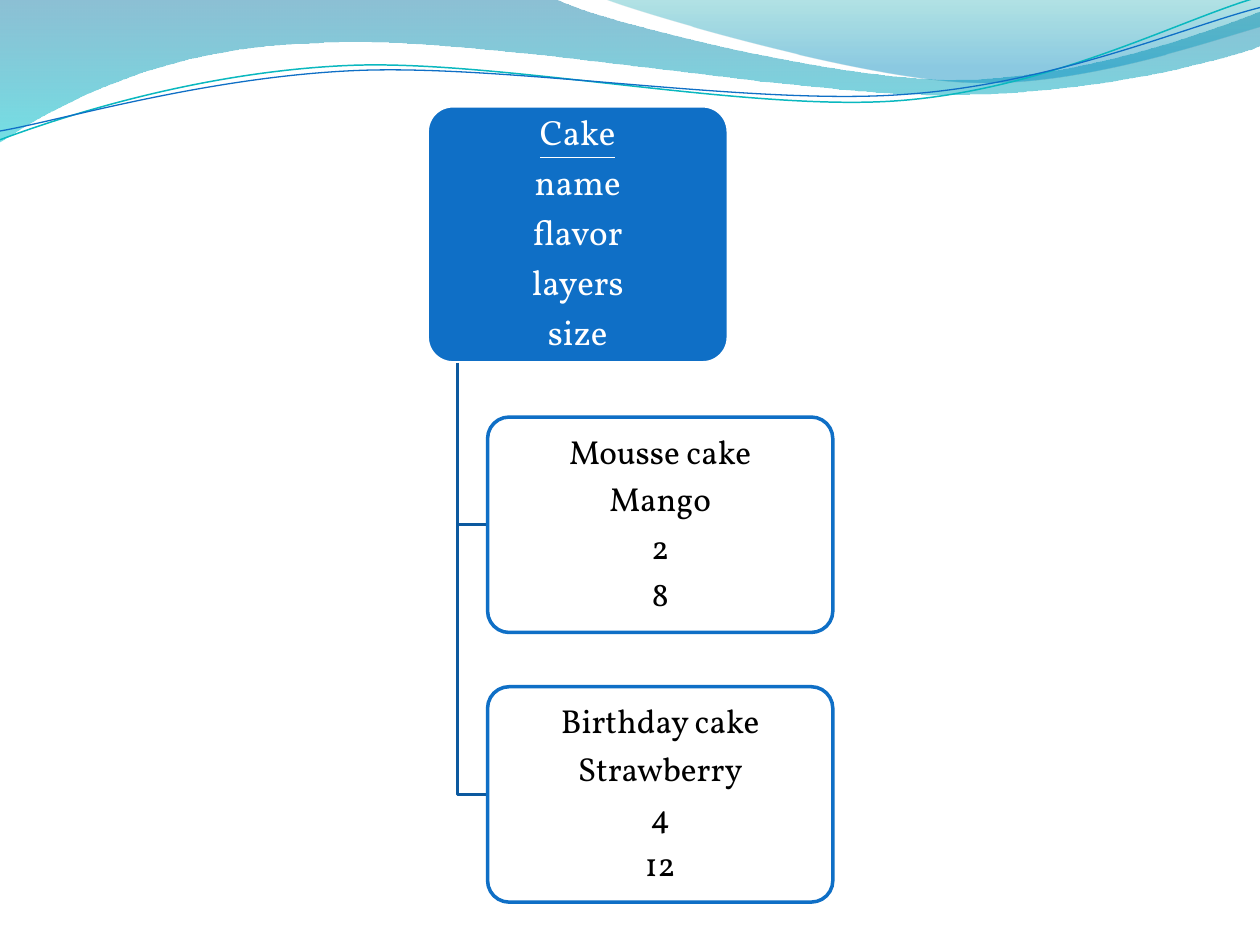
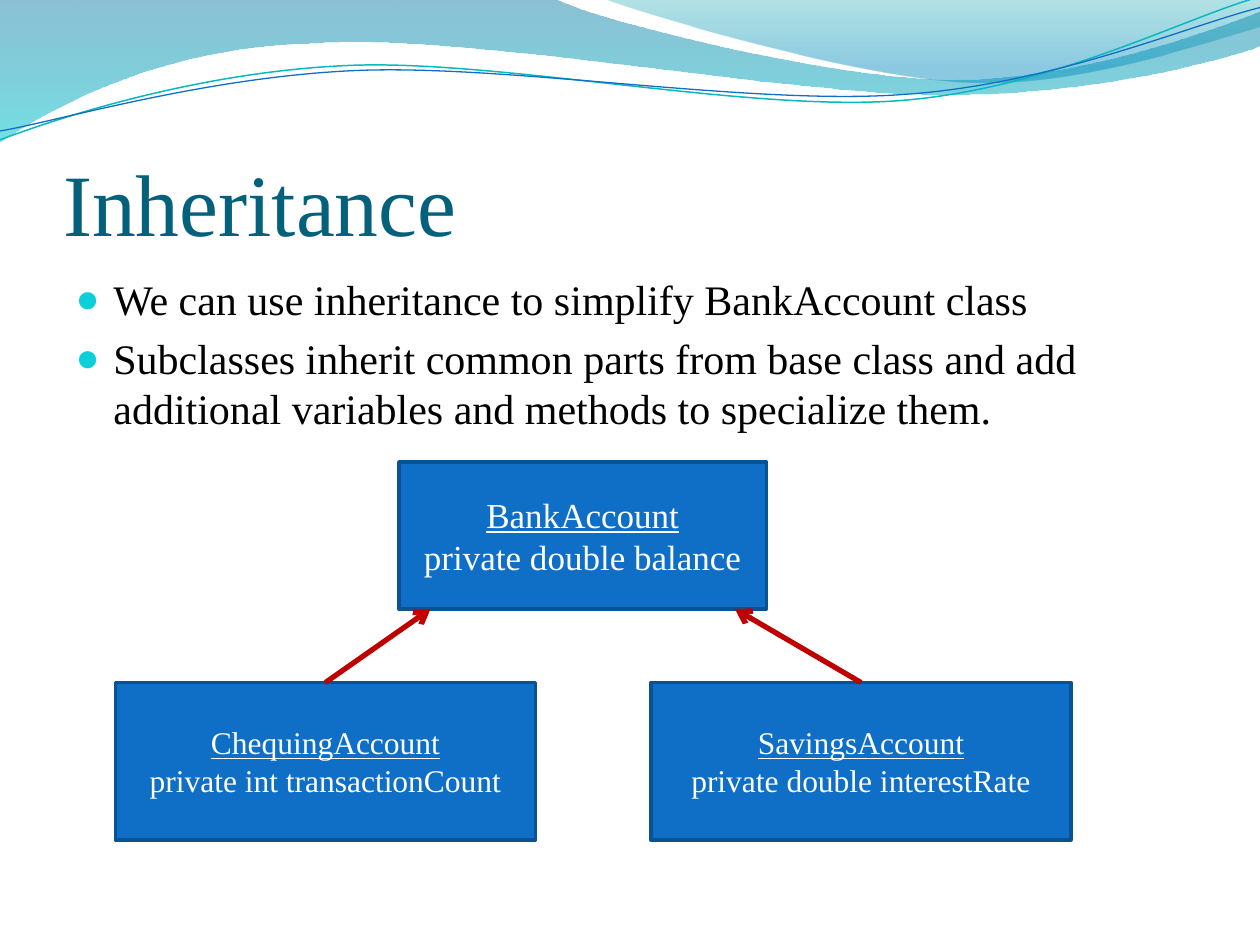
"""Build two slides on inheritance: a cake class tree and a bank account diagram."""
from lxml.etree import SubElement
from pptx import Presentation
from pptx.dml.color import RGBColor
from pptx.enum.shapes import MSO_CONNECTOR, MSO_SHAPE
from pptx.enum.text import MSO_ANCHOR, MSO_AUTO_SIZE, PP_ALIGN
from pptx.oxml.ns import qn
from pptx.util import Inches, Pt

BLUE = RGBColor(0x0F, 0x6F, 0xC6)
BRANCH_BLUE = RGBColor(0x0C, 0x59, 0x9F)
EDGE_BLUE = RGBColor(0x0B, 0x52, 0x92)
TITLE_TEAL = RGBColor(0x04, 0x61, 0x7B)
BULLET_CYAN = RGBColor(0x0B, 0xD0, 0xD9)
CURVE_TEAL = RGBColor(0x0A, 0xB8, 0xBF)
WAVE_BLUE = RGBColor(0x00, 0x74, 0xA1)
WAVE_CYAN = RGBColor(0x00, 0xC6, 0xCF)
CREST_TEAL = RGBColor(0x00, 0xA1, 0xA9)
CREST_BLUE = RGBColor(0x00, 0x8B, 0xBF)
RED = RGBColor(0xC0, 0x00, 0x00)
WHITE = RGBColor(0xFF, 0xFF, 0xFF)
BLACK = RGBColor(0x00, 0x00, 0x00)
SERIF = "Times New Roman"
CAKE_FONT = "Vollkorn"

WAVES = [
    ([[(0, 0)], [(4.4, -0.01)],
      [(4.76, 0.17), (6.64, 0.63), (7.58, 0.63)],
      [(8.53, 0.63), (9.58, 0.26), (10, 0.09)],
      [(10.01, 0.36)],
      [(9.83, 0.44), (8.7, 0.76), (7.46, 0.75)],
      [(6.22, 0.75), (3.82, 0.28), (2.57, 0.34)],
      [(1.29, 0.36), (0.46, 0.83), (-0.01, 1.13)],
      [(0, 0)]],
     [(0, WAVE_BLUE, 45), (1, WAVE_CYAN, 55)]),
    ([[(4.79, -0.01)],
      [(5.09, 0.11), (6.82, 0.62), (7.69, 0.65)],
      [(8.56, 0.69), (9.61, 0.32), (10, 0.21)],
      [(10, 0)],
      [(4.79, -0.01)]],
     [(0, CREST_TEAL, 30), (0.8, CREST_BLUE, 45)]),
]
CURVES = [
    ([[(0, 1.11)],
      [(0.48, 0.93), (1.58, 0.57), (2.77, 0.52)],
      [(3.95, 0.47), (5.93, 0.89), (7.13, 0.8)],
      [(8.33, 0.71), (9.38, 0.15), (9.98, -0.02)]], CURVE_TEAL, 0.85),
    ([[(0, 1.04)],
      [(0.47, 0.96), (1.64, 0.61), (2.83, 0.56)],
      [(4.03, 0.51), (5.97, 0.84), (7.17, 0.75)],
      [(8.36, 0.67), (9.41, 0.21), (10, 0.06)]], BLUE, 0.75),
]

CAKE_CLASS = ["Cake", "name", "flavor", "layers", "size"]
CAKES = [["Mousse cake", "Mango", "2", "8"],
         ["Birthday cake", "Strawberry", "4", "12"]]
CAKE_CLASS_AREA = (3.39, 0.84, 2.39, 2.04)
CAKE_LEFT, CAKE_TOP, CAKE_WIDTH, CAKE_HEIGHT, CAKE_STEP = 3.87, 3.31, 2.74, 1.71, 2.14
TRUNK_X = 3.63

TITLE = "Inheritance"
POINTS = ["We can use inheritance to simplify BankAccount class",
          "Subclasses inherit common parts from base class and add "
          "additional variables and methods to specialize them."]
GRID = 1 / 12
BASE_ACCOUNT = (["BankAccount", "private double balance"], (38, 44, 35, 14))
SUB_ACCOUNTS = [
    (["ChequingAccount", "private int transactionCount"], (11, 65, 40, 15), 41),
    (["SavingsAccount", "private double interestRate"], (62, 65, 40, 15), 70),
]


def on_grid(*cells):
    return [cell * GRID for cell in cells]


def add_outline(page, steps, close):
    start, *rest = [(Inches(step[-1][0]), Inches(step[-1][1])) for step in steps]
    builder = page.shapes.build_freeform(*start)
    builder.add_line_segments(rest, close=close)
    outline = builder.convert_to_shape()
    outline.shadow.inherit = False
    segments = outline.element.xpath(".//a:lnTo")
    for segment, step in zip(segments, steps[1:]):
        if len(step) == 3:
            bend(segment, step, outline.left, outline.top)
    return outline


def bend(segment, step, left, top):
    curve = SubElement(segment.getparent(), qn("a:cubicBezTo"))
    for x, y in step:
        SubElement(curve, qn("a:pt"), x=str(Inches(x) - left), y=str(Inches(y) - top))
    segment.getparent().replace(segment, curve)


def add_stroke(page, steps, colour, width):
    stroke = add_outline(page, steps, False)
    stroke.fill.background()
    stroke.line.color.rgb = colour
    stroke.line.width = Pt(width)
    return stroke


def add_wave(page, steps, stops):
    wave = add_outline(page, steps, True)
    wave.line.fill.background()
    wave.fill.gradient()
    wave.fill.gradient_angle = 270
    for stop, (position, colour, _) in zip(wave.fill.gradient_stops, stops):
        stop.position = position
        stop.color.rgb = colour
    tints = wave.element.xpath(".//a:gsLst/a:gs/a:srgbClr")
    for tint, (_, _, opacity) in zip(tints, stops):
        SubElement(tint, qn("a:alpha"), val=str(opacity * 1000))
    return wave


def decorate_master(deck, page):
    decor = [add_wave(page, steps, stops) for steps, stops in WAVES]
    decor += [add_stroke(page, steps, colour, width) for steps, colour, width in CURVES]
    for number, shape in enumerate(decor, start=101):
        shape.element.xpath(".//p:cNvPr")[0].set("id", str(number))
        deck.slide_master.shapes.element.append(shape.element)


def style(para, font, size, colour):
    for span in para.runs:
        span.font.name = font
        span.font.size = Pt(size)
        span.font.color.rgb = colour


def add_box(page, kind, area, lines, font, size, colours, underline=True):
    fill, edge, ink = colours
    box = page.shapes.add_shape(kind, *map(Inches, area))
    box.shadow.inherit = False
    box.fill.solid()
    box.fill.fore_color.rgb = fill
    box.line.color.rgb = edge
    box.line.width = Pt(2)
    frame = box.text_frame
    frame.word_wrap = True
    frame.vertical_anchor = MSO_ANCHOR.MIDDLE
    frame.text = "\n".join(lines)
    for para in frame.paragraphs:
        para.alignment = PP_ALIGN.CENTER
        style(para, font, size, ink)
    if underline:
        frame.paragraphs[0].runs[0].font.underline = True
    return box


def add_cake_box(page, area, lines, size, colours, underline):
    box = add_box(page, MSO_SHAPE.ROUNDED_RECTANGLE, area, lines, CAKE_FONT, size,
                  colours, underline)
    box.adjustments[0] = 0.1
    frame = box.text_frame
    frame.margin_left = frame.margin_right = Inches(0.1)
    frame.margin_top = frame.margin_bottom = Inches(0.09)
    for para in frame.paragraphs:
        para.line_spacing = 0.9
        para.space_after = Pt(0)
    for spacing in box.element.xpath(".//a:spcAft"):
        spacing.remove(spacing[0])
        SubElement(spacing, qn("a:spcPct"), val="35000")


def fill_cake_slide(page):
    _, top, _, height = CAKE_CLASS_AREA
    add_cake_box(page, CAKE_CLASS_AREA, CAKE_CLASS, 20, (BLUE, WHITE, WHITE), True)
    for index, lines in enumerate(CAKES):
        cake_top = CAKE_TOP + index * CAKE_STEP
        middle = cake_top + CAKE_HEIGHT / 2
        branch = [[(TRUNK_X, top + height)], [(TRUNK_X, middle)], [(CAKE_LEFT, middle)]]
        add_stroke(page, branch, BRANCH_BLUE, 2)
        add_cake_box(page, (CAKE_LEFT, cake_top, CAKE_WIDTH, CAKE_HEIGHT), lines, 19,
                     (WHITE, BLUE, BLACK), False)


def place(holder, left, top, width, height):
    holder.left, holder.top = Inches(left), Inches(top)
    holder.width, holder.height = Inches(width), Inches(height)
    holder.text_frame.word_wrap = True
    holder.text_frame.auto_size = MSO_AUTO_SIZE.NONE
    return holder.text_frame


def add_bullet(para):
    props = para._p.get_or_add_pPr()
    props.set("marL", str(Inches(0.3)))
    props.set("indent", str(-Inches(0.3)))
    SubElement(SubElement(props, qn("a:buClr")), qn("a:srgbClr"), val=str(BULLET_CYAN))
    SubElement(props, qn("a:buSzPct"), val="95000")
    SubElement(props, qn("a:buChar"), char="●")


def add_arrow(page, start, end):
    arrow = page.shapes.add_connector(MSO_CONNECTOR.STRAIGHT, *map(Inches, (*start, *end)))
    arrow.line.color.rgb = RED
    arrow.line.width = Pt(3)
    SubElement(arrow.get_or_add_ln(), qn("a:tailEnd"), type="arrow")
    SubElement(arrow.element.spPr, qn("a:effectLst"))


def fill_account_slide(page):
    frame = place(page.shapes.title, 0.5, 0.77, 9, 1.25)
    frame.margin_left = frame.margin_right = frame.margin_bottom = 0
    frame.vertical_anchor = MSO_ANCHOR.BOTTOM
    frame.text = TITLE
    frame.paragraphs[0].alignment = PP_ALIGN.LEFT
    style(frame.paragraphs[0], SERIF, 50, TITLE_TEAL)

    frame = place(page.placeholders[1], 0.5, 2.12, 9, 4.8)
    frame.text = "\n".join(POINTS)
    for para in frame.paragraphs:
        add_bullet(para)
        style(para, SERIF, 24, BLACK)
    frame.paragraphs[0].space_before = Pt(0)

    colours = (BLUE, EDGE_BLUE, WHITE)
    lines, base = BASE_ACCOUNT
    add_box(page, MSO_SHAPE.RECTANGLE, on_grid(*base), lines, SERIF, 20, colours)
    for lines, area, _ in SUB_ACCOUNTS:
        add_box(page, MSO_SHAPE.RECTANGLE, on_grid(*area), lines, SERIF, 18, colours)
    for _, (left, top, width, _), target in SUB_ACCOUNTS:
        add_arrow(page, on_grid(left + width / 2, top), on_grid(target, base[1] + base[3]))


def main():
    deck = Presentation()
    deck.slide_width, deck.slide_height = Inches(10), Inches(7.5)
    cake_page = deck.slides.add_slide(deck.slide_layouts[6])
    decorate_master(deck, cake_page)
    fill_cake_slide(cake_page)
    fill_account_slide(deck.slides.add_slide(deck.slide_layouts[1]))
    deck.save("out.pptx")


if __name__ == "__main__":
    main()
